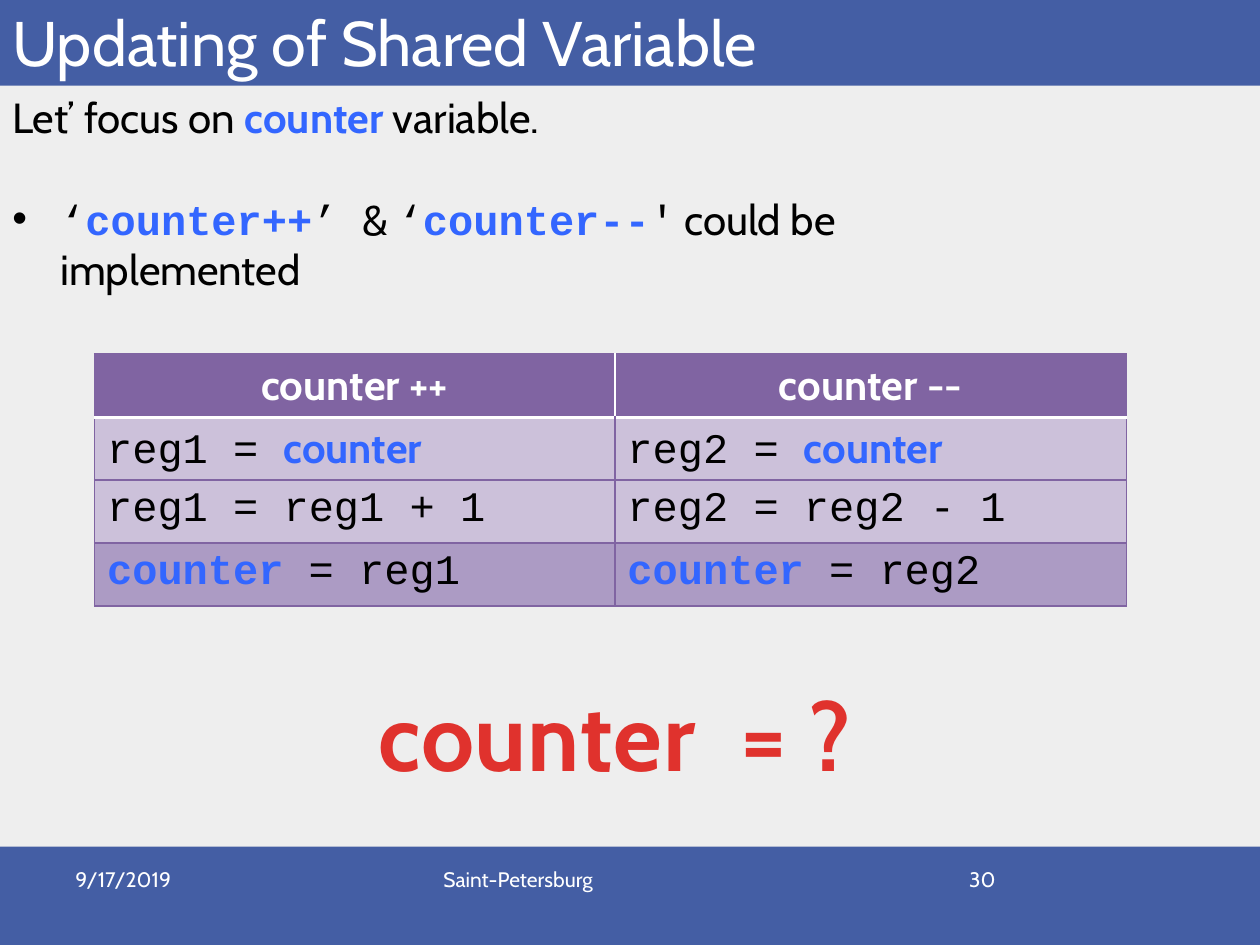
"""Builds the slide on updating a shared variable."""
from lxml import etree
from pptx import Presentation
from pptx import util as u
from pptx.dml.color import RGBColor
from pptx.enum import shapes, text
from pptx.oxml import ns

COLORS = {
    "ground": "EEEEEE", "band": "445EA4", "white": "FFFFFF", "ink": "000000",
    "keyword": "3366FF", "purple": "8064A2", "light": "CCC1DA",
    "medium": "AC9BC4", "question": "E0322D",
}
SANS, MONO = "Cabin", "Courier New"
LEFT, CENTER, RIGHT = (
    text.PP_ALIGN.LEFT, text.PP_ALIGN.CENTER, text.PP_ALIGN.RIGHT)


def color(name):
    return RGBColor.from_string(COLORS[name])


def keyword(words, font=SANS):
    return words, font, "keyword", True


def code(words):
    return words, MONO, "ink", False


def plain(words):
    return words, SANS, "ink", False


def write(paragraph, words, font=SANS, tint="ink", bold=False, size=24,
          align=LEFT, spacing=None):
    paragraph.alignment = align
    run = paragraph.add_run()
    run.text = words
    run.font.name, run.font.size, run.font.bold = font, u.Pt(size), bold
    run.font.color.rgb = color(tint)
    if spacing:
        run.font._element.set("spc", str(int(spacing * 100)))


def write_runs(paragraph, runs):
    for run in runs:
        write(paragraph, *run)


def add_band(slide, top, height):
    band = slide.shapes.add_shape(
        shapes.MSO_SHAPE.RECTANGLE, 0, u.Inches(top), u.Inches(10), u.Inches(height))
    band.shadow.inherit = False
    band.fill.solid()
    band.fill.fore_color.rgb = color("band")
    band.line.fill.background()


def add_frame(slide, place, wrap=True, anchor=text.MSO_ANCHOR.TOP):
    frame = slide.shapes.add_textbox(*map(u.Inches, place)).text_frame
    frame.word_wrap = wrap
    frame.vertical_anchor = anchor
    return frame


def add_label(slide, words, place, wrap=True, anchor=text.MSO_ANCHOR.TOP, **style):
    write(add_frame(slide, place, wrap, anchor).paragraphs[0], words, **style)


def set_bullet(paragraph, indent):
    properties = paragraph._p.get_or_add_pPr()
    properties.set("marL", str(u.Inches(indent)))
    properties.set("indent", str(-u.Inches(indent)))
    etree.SubElement(properties, ns.qn("a:buFont"), typeface="Arial")
    etree.SubElement(properties, ns.qn("a:buChar"), char="•")


def set_borders(cell, borders):
    properties = cell._tc.get_or_add_tcPr()
    for position, side in enumerate(s for s in "LRTB" if s in borders):
        tint, width = borders[side]
        line = etree.Element(ns.qn(f"a:ln{side}"), w=str(u.Pt(width)))
        fill = etree.SubElement(line, ns.qn("a:solidFill"))
        etree.SubElement(fill, ns.qn("a:srgbClr"), val=COLORS[tint])
        properties.insert(position, line)


def add_code_table(slide, headings, rows):
    frame = slide.shapes.add_table(
        len(rows) + 1, 2, u.Inches(0.75), u.Inches(2.81), u.Inches(8.19), u.Inches(2))
    table = frame.table
    for column, width in zip(table.columns, (4.13, 4.06)):
        column.width = u.Inches(width)
    for row in table.rows:
        row.height = u.Inches(0.41)
    frame.height = u.Inches(2)

    outer = ("purple", 1)
    fills = ("purple", "light", "light", "medium")
    for row_index, fill in enumerate(fills):
        for column_index, side in enumerate("LR"):
            cell = table.cell(row_index, column_index)
            cell.fill.solid()
            cell.fill.fore_color.rgb = color(fill)
            paragraph = cell.text_frame.paragraphs[0]
            if row_index == 0:
                write(paragraph, headings[column_index], tint="white",
                      bold=True, align=CENTER)
                set_borders(cell, {side: outer, "T": outer, "B": ("white", 2)})
            else:
                write_runs(paragraph, rows[row_index - 1][column_index])
                top = ("white", 2) if row_index == 1 else outer
                set_borders(cell, {"L": outer, "R": outer, "T": top, "B": outer})


def add_explanation(slide):
    frame = add_frame(slide, (0, 0.68, 8.67, 1.31))
    write_runs(frame.paragraphs[0], [
        plain("Let’ focus on "), keyword("counter"), plain(" variable.")])
    bullet = frame.add_paragraph()
    bullet.space_before = u.Pt(29)
    write_runs(bullet, [
        code("‘"), keyword("counter++", MONO), code("’ "), plain("& "),
        code("‘"), keyword("counter--", MONO), code("'"),
        plain(" could be implemented")])
    set_bullet(bullet, 0.38)


def main():
    deck = Presentation()
    deck.slide_width, deck.slide_height = u.Inches(10), u.Inches(7.5)
    slide = deck.slides.add_slide(deck.slide_layouts[6])
    slide.background.fill.solid()
    slide.background.fill.fore_color.rgb = color("ground")

    add_band(slide, 6.72, 0.78)
    add_band(slide, 0, 0.68)
    add_label(slide, "Updating of Shared Variable", (0, -0.21, 10, 0.89),
              anchor=text.MSO_ANCHOR.BOTTOM, tint="white", size=36)
    for words, left, width, align in (
            ("9/17/2019", 0.5, 2.33, LEFT),
            ("30", 7.17, 0.83, RIGHT),
            ("Saint-Petersburg", 3.42, 3.17, LEFT)):
        add_label(slide, words, (left, 6.83, width, 0.52),
                  tint="white", size=12, align=align)

    registers = (("reg1", "+"), ("reg2", "-"))
    add_code_table(slide, ("counter ++", "counter --"), [
        [[code(f"{reg} = "), keyword("counter")] for reg, _ in registers],
        [[code(f"{reg} = {reg} {sign} 1")] for reg, sign in registers],
        [[keyword("counter ", MONO), code(f"= {reg}")] for reg, _ in registers],
    ])
    add_explanation(slide)
    add_label(slide, "counter  = ?", (2.88, 5.32, 4.01, 1.01), wrap=False,
              tint="question", bold=True, size=54, align=CENTER, spacing=0.5)
    deck.save("out.pptx")


if __name__ == "__main__":
    main()
